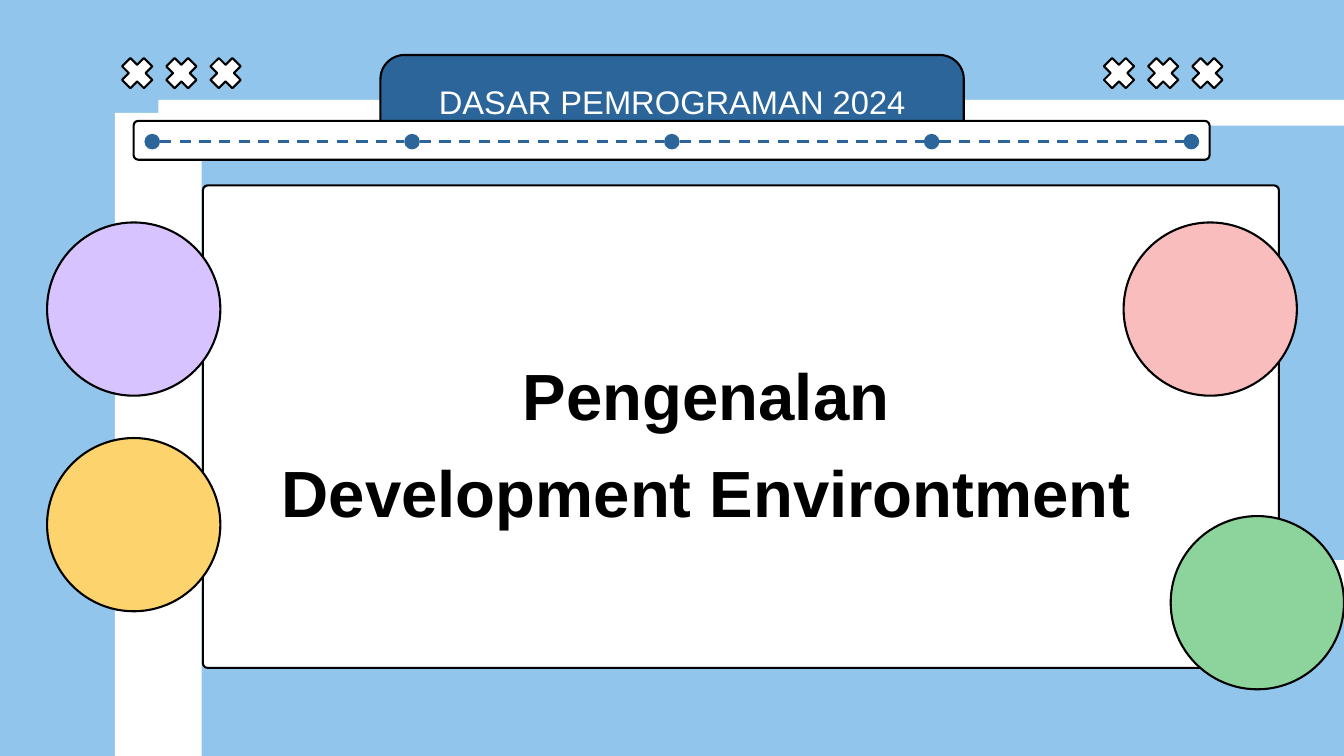
"""Build the cover slide for the programming basics course."""
from typing import NamedTuple

from lxml.etree import SubElement
from pptx import Presentation
from pptx.dml.color import RGBColor
from pptx.enum.dml import MSO_LINE
from pptx.enum.shapes import MSO_CONNECTOR, MSO_SHAPE
from pptx.enum.text import MSO_ANCHOR, MSO_AUTO_SIZE, PP_ALIGN
from pptx.oxml.ns import qn
from pptx.util import Cm, Pt

COLORS = {
    "sky": "91C5EB", "white": "FFFFFF", "black": "000000", "navy": "2B6599",
    "pink": "F9BDBD", "lilac": "D6C3FF", "green": "8CD49C", "yellow": "FDD36D",
}


class Frame(NamedTuple):
    left: float
    top: float
    width: float
    height: float


class Circle(NamedTuple):
    left: float
    top: float
    color: str


class Label(NamedTuple):
    text: str
    frame: Frame
    size: int
    color: str
    bold: bool


SLIDE_WIDTH, SLIDE_HEIGHT = 50.8, 28.58
CROSS_GROUPS, CROSS_TOP, CROSS_SIZE, CROSS_STEP = (4.6, 41.71), 2.18, 1.17, 1.67
CIRCLE_SIZE = 6.55
CIRCLES = [
    Circle(42.47, 8.41, "pink"), Circle(1.78, 8.41, "lilac"),
    Circle(44.25, 19.51, "green"), Circle(1.78, 16.56, "yellow"),
]
GRID_OUTLINE = [
    (50.8, 3.78), (5.99, 3.78), (5.99, 4.27), (4.34, 4.27),
    (4.34, 28.58), (7.62, 28.58), (7.62, 22.15), (50.8, 22.15),
    (50.8, 21.18), (7.62, 21.18), (7.62, 4.75), (50.8, 4.75),
]
TAB = Frame(14.38, 2.08, 22.05, 3.45)
PANEL = Frame(7.67, 7.01, 40.67, 18.24)
TIMELINE = Frame(5.05, 4.57, 40.67, 1.47)
DOT_COUNT, DOT_LEFT, DOT_TOP, DOT_SIZE, DOT_STEP = 5, 5.46, 5.06, 0.59, 9.82
TITLE = Label("Pengenalan\nDevelopment Environtment",
              Frame(3.81, 12.67, 45.77, 5.87), 70, "black", True)
COURSE = Label("DASAR PEMROGRAMAN 2024",
               Frame(15.24, 2.74, 20.35, 1.5), 35, "white", False)


def rgb(name: str) -> RGBColor:
    return RGBColor.from_string(COLORS[name])


def paint(shape, color: str, outlined: bool = True) -> None:
    shape.shadow.inherit = False
    shape.fill.solid()
    shape.fill.fore_color.rgb = rgb(color)
    if outlined:
        shape.line.color.rgb = rgb("black")
        shape.line.width = Pt(2.25)
    else:
        shape.line.fill.background()


def add_preset(page, kind: MSO_SHAPE, frame: Frame, color: str, outlined: bool = True):
    shape = page.shapes.add_shape(kind, *map(Cm, frame))
    paint(shape, color, outlined)
    return shape


def add_rounded(page, frame: Frame, color: str, radius: float) -> None:
    shape = add_preset(page, MSO_SHAPE.ROUNDED_RECTANGLE, frame, color)
    shape.adjustments[0] = radius / min(frame.width, frame.height)


def add_cross(page, left: float) -> None:
    frame = Frame(left, CROSS_TOP, CROSS_SIZE, CROSS_SIZE)
    shape = add_preset(page, MSO_SHAPE.CROSS, frame, "white")
    shape.adjustments[0] = 0.31
    shape.rotation = 45


def add_grid(page) -> None:
    points = [(Cm(x), Cm(y)) for x, y in GRID_OUTLINE]
    builder = page.shapes.build_freeform(*points[0])
    builder.add_line_segments(points[1:])
    paint(builder.convert_to_shape(), "white", outlined=False)


def add_dash(page, start: float, end: float, height: float) -> None:
    dash = page.shapes.add_connector(
        MSO_CONNECTOR.STRAIGHT, Cm(start), Cm(height), Cm(end), Cm(height))
    dash.line.color.rgb = rgb("navy")
    dash.line.width = Pt(3)
    dash.line.dash_style = MSO_LINE.DASH
    SubElement(dash.element.spPr, qn("a:effectLst"))


def add_timeline(page) -> None:
    add_rounded(page, TIMELINE, "white", 0.18)
    lefts = [DOT_LEFT + index * DOT_STEP for index in range(DOT_COUNT)]
    for left in lefts:
        frame = Frame(left, DOT_TOP, DOT_SIZE, DOT_SIZE)
        add_preset(page, MSO_SHAPE.OVAL, frame, "navy", outlined=False)
    for left, following in zip(lefts, lefts[1:]):
        add_dash(page, left + DOT_SIZE, following, DOT_TOP + DOT_SIZE / 2)


def fill_placeholder(page, box, label: Label) -> None:
    page.shapes.element.append(box.element)
    box.left, box.top, box.width, box.height = map(Cm, label.frame)
    frame = box.text_frame
    frame.text = label.text
    frame.word_wrap = True
    frame.auto_size = MSO_AUTO_SIZE.SHAPE_TO_FIT_TEXT
    frame.vertical_anchor = MSO_ANCHOR.TOP
    frame.margin_left = frame.margin_right = 0
    frame.margin_top = frame.margin_bottom = 0
    for para in frame.paragraphs:
        para.alignment = PP_ALIGN.CENTER
        para.line_spacing = 1.25
        para.space_before = Pt(0)
        para.font.name = "Arial"
        para.font.size = Pt(label.size)
        para.font.bold = label.bold
        para.font.color.rgb = rgb(label.color)


def main() -> None:
    deck = Presentation()
    deck.slide_width, deck.slide_height = Cm(SLIDE_WIDTH), Cm(SLIDE_HEIGHT)
    page = deck.slides.add_slide(deck.slide_layouts[0])
    page.background.fill.solid()
    page.background.fill.fore_color.rgb = rgb("sky")
    title, course = page.placeholders

    for start in CROSS_GROUPS:
        for index in range(3):
            add_cross(page, start + index * CROSS_STEP)
    add_grid(page)
    add_rounded(page, TAB, "navy", 0.91)
    add_rounded(page, PANEL, "white", 0.18)
    for circle in CIRCLES:
        frame = Frame(circle.left, circle.top, CIRCLE_SIZE, CIRCLE_SIZE)
        add_preset(page, MSO_SHAPE.OVAL, frame, circle.color)
    fill_placeholder(page, title, TITLE)
    add_timeline(page)
    fill_placeholder(page, course, COURSE)
    deck.save("out.pptx")


if __name__ == "__main__":
    main()
